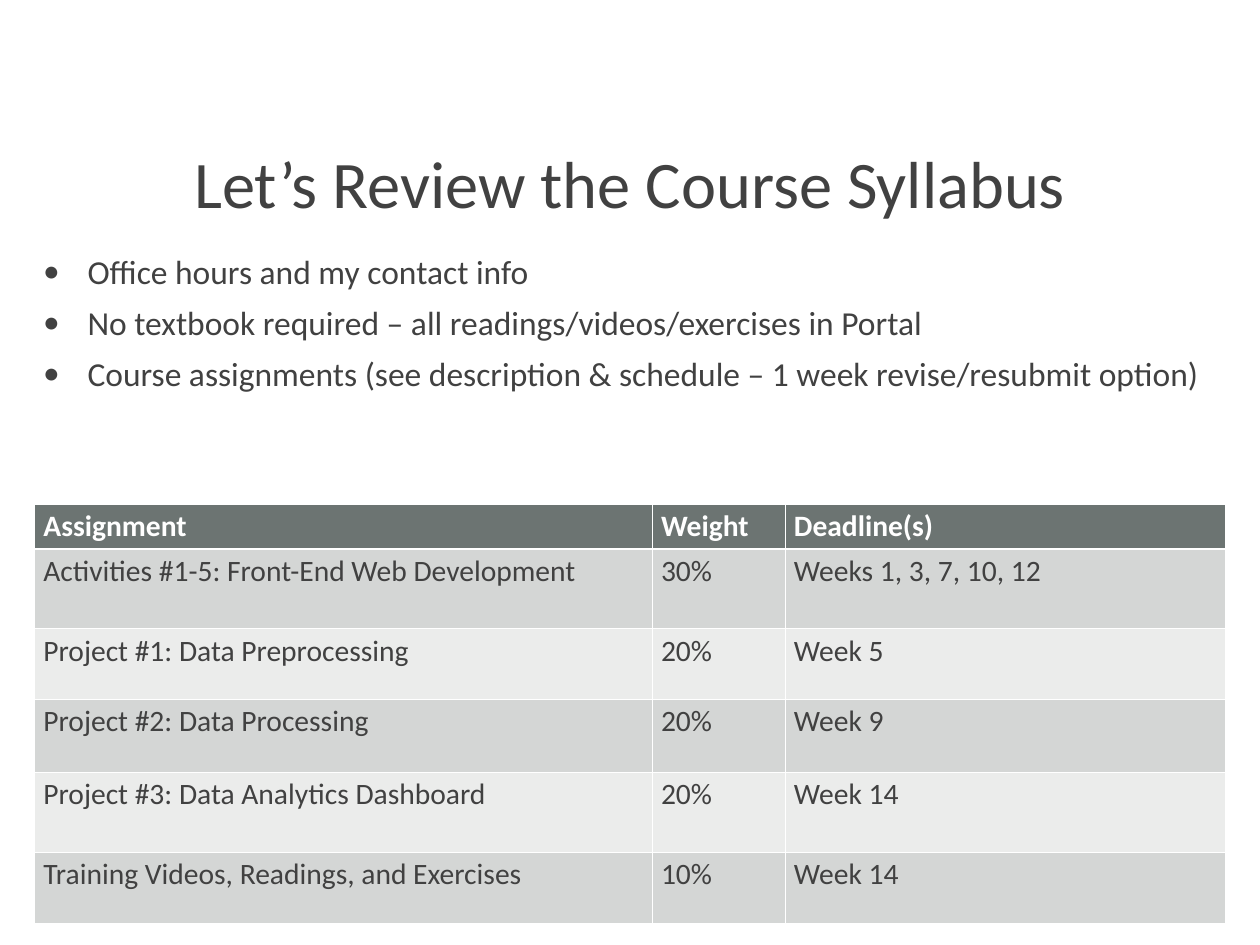
"""Build the course syllabus slide with its bullets and grading table."""
from dataclasses import dataclass
from typing import Any

from lxml.etree import SubElement as Sub
from pptx import Presentation
from pptx.dml.color import RGBColor as Rgb
from pptx.enum.text import MSO_ANCHOR as Anchor, PP_ALIGN as Align
from pptx.oxml.ns import qn
from pptx.util import Inches, Pt

WIDE, HIGH = Inches(14.22), Inches(10.66)
LEFT, SPAN = 2.74, 94.51
FACE = "Calibri"
INK, WHITE, HEAD = "414141", "FFFFFF", "6C7472"
BANDS = ("EBECEB", "D4D6D5")
THIN, THICK = 0.45, 1.47
COLS = (49.02, 10.55, 34.95)
ROWS = (4.69, 8.44, 7.5, 7.69, 8.44, 7.6)
TITLE_FORM = {"alignment": Align.CENTER}
LIST_FORM = {"alignment": Align.JUSTIFY, "line_spacing": 0.9, "space_after": Pt(6)}
GRADES = (
    ("Assignment", "Weight", "Deadline(s)"),
    ("Activities #1-5: Front-End Web Development", "30%", "Weeks 1, 3, 7, 10, 12"),
    ("Project #1: Data Preprocessing", "20%", "Week 5"),
    ("Project #2: Data Processing", "20%", "Week 9"),
    ("Project #3: Data Analytics Dashboard", "20%", "Week 14"),
    ("Training Videos, Readings, and Exercises", "10%", "Week 14"),
)


@dataclass
class Block:
    top: float
    tall: float
    lines: tuple[str, ...]
    size: float
    form: dict[str, Any]
    anchor: Anchor = Anchor.TOP
    dots: bool = False


BLOCKS = (
    Block(14.07, 10.32, ("Let’s Review the Course Syllabus",), 54, TITLE_FORM, Anchor.MIDDLE),
    Block(26.55, 20.36, (
        "Office hours and my contact info",
        "No textbook required – all readings/videos/exercises in Portal",
        "Course assignments (see description & schedule – 1 week revise/resubmit option)",
    ), 27.2, LIST_FORM, dots=True),
)


def across(share: float) -> int:
    """Turn a percentage of the slide width into a length."""
    return round(WIDE * share / 100)


def down(share: float) -> int:
    """Turn a percentage of the slide height into a length."""
    return round(HIGH * share / 100)


def tint(tone: str) -> Rgb:
    """Turn a hex string into a colour."""
    return Rgb.from_string(tone)


def apply(thing: Any, form: dict[str, Any]) -> None:
    """Set each format value on an object."""
    for name, value in form.items():
        setattr(thing, name, value)


def write(para: Any, text: str, size: float, tone: str = INK, bold: bool = False) -> None:
    """Add one styled run to a paragraph."""
    run = para.add_run()
    run.text = text
    apply(run.font, {"name": FACE, "size": Pt(size), "bold": bold})
    run.font.color.rgb = tint(tone)


def add_dot(para: Any) -> None:
    """Give a paragraph a hanging round bullet."""
    props = para._p.get_or_add_pPr()
    props.set("marL", str(Inches(0.5)))
    props.set("indent", str(-Inches(0.5)))
    Sub(Sub(props, qn("a:buClr")), qn("a:srgbClr"), val=INK)
    Sub(props, qn("a:buFont"), typeface=FACE)
    Sub(props, qn("a:buChar"), char="•")


def draw_block(slide: Any, block: Block) -> None:
    """Draw one text box over the full span."""
    box = slide.shapes.add_textbox(across(LEFT), down(block.top), across(SPAN), down(block.tall))
    frame = box.text_frame
    apply(frame, {"word_wrap": True, "vertical_anchor": block.anchor})
    for nth, line in enumerate(block.lines):
        para = frame.add_paragraph() if nth else frame.paragraphs[0]
        if block.dots:
            add_dot(para)
        apply(para, block.form | {"space_before": Pt(6 if nth else 0)})
        write(para, line, block.size)


def add_edges(cell: Any, row: int) -> None:
    """Rule a cell in white, thicker under the header."""
    props = cell._tc.get_or_add_tcPr()
    for side in "LRTB":
        thick = (row, side) in ((0, "B"), (1, "T"))
        edge = Sub(props, qn(f"a:ln{side}"), w=str(Pt(THICK if thick else THIN)))
        Sub(Sub(edge, qn("a:solidFill")), qn("a:srgbClr"), val=WHITE)


def draw_table(slide: Any) -> None:
    """Draw the grading table with banded rows."""
    grid = slide.shapes.add_table(len(ROWS), len(COLS), across(LEFT), down(53.38),
                                  across(sum(COLS)), down(sum(ROWS))).table
    for col, share in zip(grid.columns, COLS):
        col.width = across(share)
    for row, (share, texts) in enumerate(zip(ROWS, GRADES)):
        grid.rows[row].height = down(share)
        for col, text in enumerate(texts):
            cell = grid.cell(row, col)
            add_edges(cell, row)
            cell.fill.solid()
            cell.fill.fore_color.rgb = tint(BANDS[row % 2] if row else HEAD)
            write(cell.text_frame.paragraphs[0], text, 24, INK if row else WHITE, not row)


def main() -> None:
    """Build and save the slide."""
    deck = Presentation()
    apply(deck, {"slide_width": WIDE, "slide_height": HIGH})
    slide = deck.slides.add_slide(deck.slide_layouts[6])
    for block in BLOCKS:
        draw_block(slide, block)
    draw_table(slide)
    deck.save("out.pptx")


if __name__ == "__main__":
    main()
